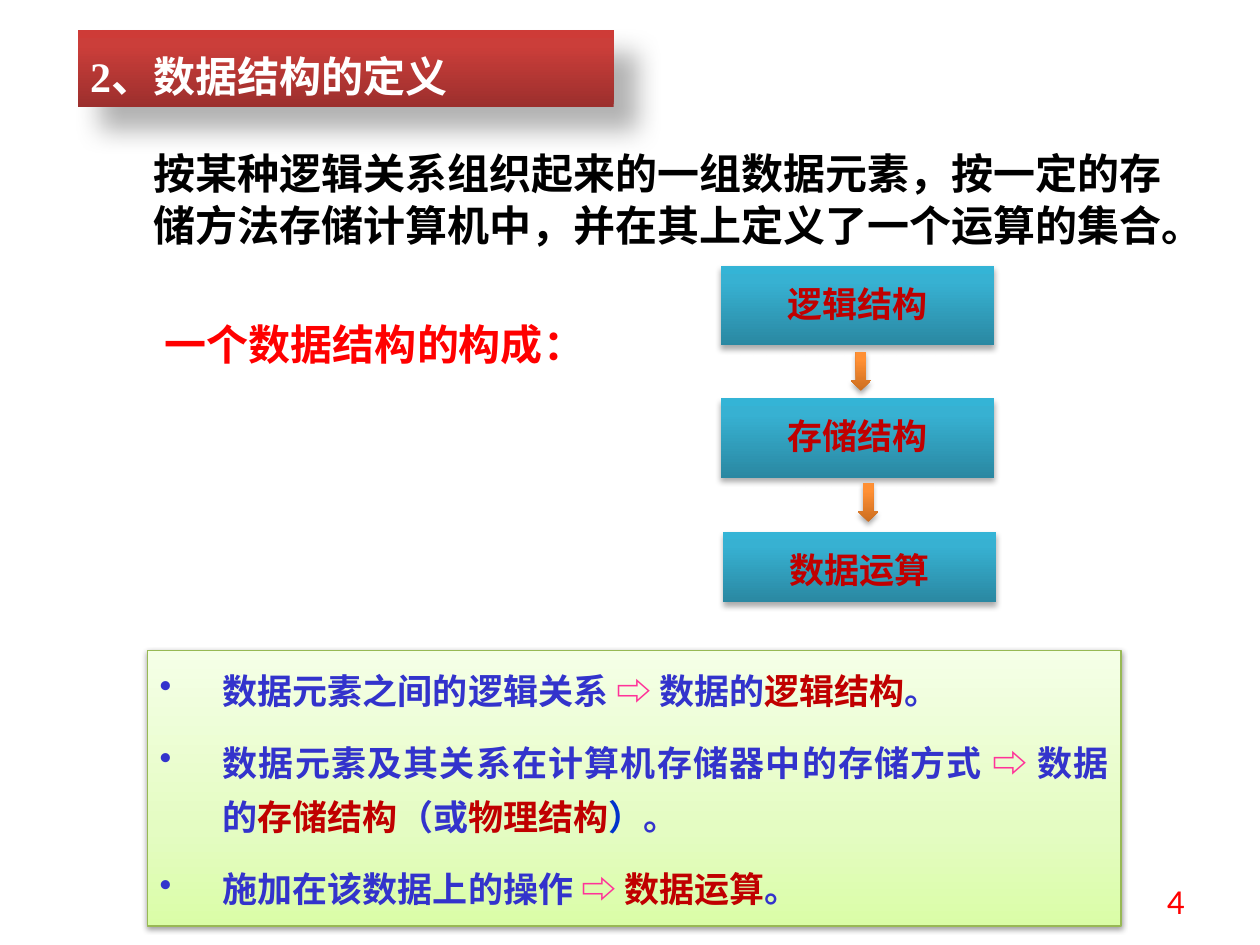
import copy

import pptx
import pptx.dml.color
import pptx.enum.shapes
import pptx.enum.text
import pptx.oxml
import pptx.oxml.ns
import pptx.util

Cm, Pt = pptx.util.Cm, pptx.util.Pt
RGB = pptx.dml.color.RGBColor.from_string
SHAPE = pptx.enum.shapes.MSO_SHAPE
ALIGN = pptx.enum.text.PP_ALIGN
ANCHOR = pptx.enum.text.MSO_ANCHOR
qn = pptx.oxml.ns.qn

SANS = "Noto Sans CJK SC"
COLORS = {
    "white": "FFFFFF", "black": "000000", "red": "FF0000", "term": "C00000",
    "body": "3333CC", "bracket": "0033CC", "pointer": "FF3399", "border": "98B955",
}
GRADIENTS = {
    "title": [(0, "9C2F2D"), (0.8, "CB3E3A"), (1, "CE3B37")],
    "part": [(0, "2A88A2"), (0.8, "37B1D2"), (1, "34B4D6")],
    "arrow": [(0, "CC6E20"), (0.8, "FF9034"), (1, "FF9136")],
    "summary": [(0, "DAFDA7"), (0.35, "E4FCC2"), (1, "F5FFE7")],
}
# opacity in percent, blur and distance in points, direction in degrees
SHADOWS = {
    "title": (30, 15, 18, 45), "part": (32, 3.5, 2.2, 90),
    "arrow": (35, 3.1, 1.8, 90), "summary": (38, 3.1, 1.6, 90),
}

deck = pptx.Presentation()
deck.slide_width, deck.slide_height = Cm(25.4), Cm(19.05)
slide = deck.slides.add_slide(deck.slide_layouts[6])


def add_block(style, left, top, width, height, preset=SHAPE.RECTANGLE):
    """Add a shape with a bottom-to-top gradient and an outer shadow."""
    block = slide.shapes.add_shape(preset, Cm(left), Cm(top), Cm(width), Cm(height))
    block.line.fill.background()
    block.fill.gradient()
    block.fill.gradient_angle = 90
    properties = block._element.spPr
    stops = properties.find(".//" + qn("a:gsLst"))
    stops.append(copy.deepcopy(stops[0]))
    for stop, (position, color) in zip(block.fill.gradient_stops, GRADIENTS[style]):
        stop.position = position
        stop.color.rgb = RGB(color)
    block.shadow.inherit = False
    opacity, blur, distance, direction = SHADOWS[style]
    properties.find(qn("a:effectLst")).append(pptx.oxml.parse_xml(
        f'<a:outerShdw {pptx.oxml.ns.nsdecls("a")} blurRad="{Pt(blur)}" dist="{Pt(distance)}" '
        f'dir="{direction * 60000}" algn="ctr" rotWithShape="0"><a:srgbClr val="{COLORS["black"]}">'
        f'<a:alpha val="{opacity * 1000}"/></a:srgbClr></a:outerShdw>'))
    block.text_frame.word_wrap = True
    block.text_frame.vertical_anchor = ANCHOR.TOP
    return block


def add_run(paragraph, text, size, color, latin=SANS, bold=True):
    run = paragraph.add_run()
    run.text = text
    run.font.size = Pt(size)
    run.font.bold = bold
    run.font.name = latin
    run.font.color.rgb = RGB(COLORS[color])
    east_asian = pptx.oxml.parse_xml(
        f'<a:ea {pptx.oxml.ns.nsdecls("a")} typeface="{SANS}"/>')
    run.font._element.find(qn("a:latin")).addnext(east_asian)


# Title
title = add_block("title", 1.57, 0.61, 10.8, 1.55)
title.text_frame.margin_top = Cm(0.3)
heading = title.text_frame.paragraphs[0]
heading.alignment = ALIGN.LEFT
heading.line_spacing = 1.1
add_run(heading, "2、数据结构的定义", 24, "white", "Times New Roman")

# Definition, lead-in and page number
definition = "按某种逻辑关系组织起来的一组数据元素，按一定的存储方法存储计算机中，并在其上定义了一个运算的集合。"
for left, top, width, height, align, spacing, indent, text, size, color, latin, bold in [
    (1.57, 2.79, 22.45, 2.41, ALIGN.LEFT, 1.05, 1.27, definition, 24, "black", SANS, True),
    (3, 6.5, 9.12, 1.07, ALIGN.CENTER, 0.8, 0, "一个数据结构的构成：", 24, "red", SANS, True),
    (18.21, 17.65, 5.92, 1.02, ALIGN.RIGHT, 1.0, 0, "4", 20, "red", "Calibri", False),
]:
    frame = slide.shapes.add_textbox(Cm(left), Cm(top), Cm(width), Cm(height)).text_frame
    frame.word_wrap = True
    frame.vertical_anchor = ANCHOR.MIDDLE if text == "4" else ANCHOR.TOP
    paragraph = frame.paragraphs[0]
    paragraph.alignment = align
    paragraph.line_spacing = spacing
    paragraph._p.get_or_add_pPr().set("marL", str(Cm(indent)))
    add_run(paragraph, text, size, color, latin, bold)

# The three parts of a data structure, with arrows between them
for name, left, top, height in [
    ("逻辑结构", 14.53, 5.36, 1.6),
    ("存储结构", 14.53, 8.03, 1.6),
    ("数据运算", 14.58, 10.72, 1.42),
]:
    part = add_block("part", left, top, 5.51, height)
    part.text_frame.margin_top = Cm(0.5)
    label = part.text_frame.paragraphs[0]
    label.alignment = ALIGN.CENTER
    label.line_spacing = 0.8
    add_run(label, name, 20, "term")

for left, top in [(17.15, 7.09), (17.3, 9.73)]:
    add_block("arrow", left, top, 0.41, 0.79, SHAPE.DOWN_ARROW)

# Summary list
summary = add_block("summary", 2.97, 13.11, 19.63, 5.56)
summary.line.color.rgb = RGB(COLORS["border"])
summary.line.width = Pt(0.75)
points = [
    [("数据元素之间的逻辑关系 ", "body"), ("⇨ ", "pointer"), ("数据的", "body"),
     ("逻辑结构", "term"), ("。", "body")],
    [("数据元素及其关系在计算机存储器中的存储方式 ", "body"), ("⇨ ", "pointer"),
     ("数据的", "body"), ("存储结构", "term"), ("（或", "body"), ("物理结构", "term"),
     ("）", "bracket"), ("。", "body")],
    [("施加在该数据上的操作 ", "body"), ("⇨ ", "pointer"), ("数据运算", "term"), ("。", "body")],
]
for number, runs in enumerate(points):
    frame = summary.text_frame
    point = frame.add_paragraph() if number else frame.paragraphs[0]
    settings = point._p.get_or_add_pPr()
    settings.set("marL", str(Cm(1.27)))
    settings.set("indent", str(Cm(-1.27)))
    settings.append(pptx.oxml.parse_xml(
        f'<a:buChar {pptx.oxml.ns.nsdecls("a")} char="•"/>'))
    point.alignment = ALIGN.JUSTIFY
    point.line_spacing = 1.3
    if number:
        point.space_before = Pt(10)
    for text, color in runs:
        add_run(point, text, 20, color)

deck.save("out.pptx")
